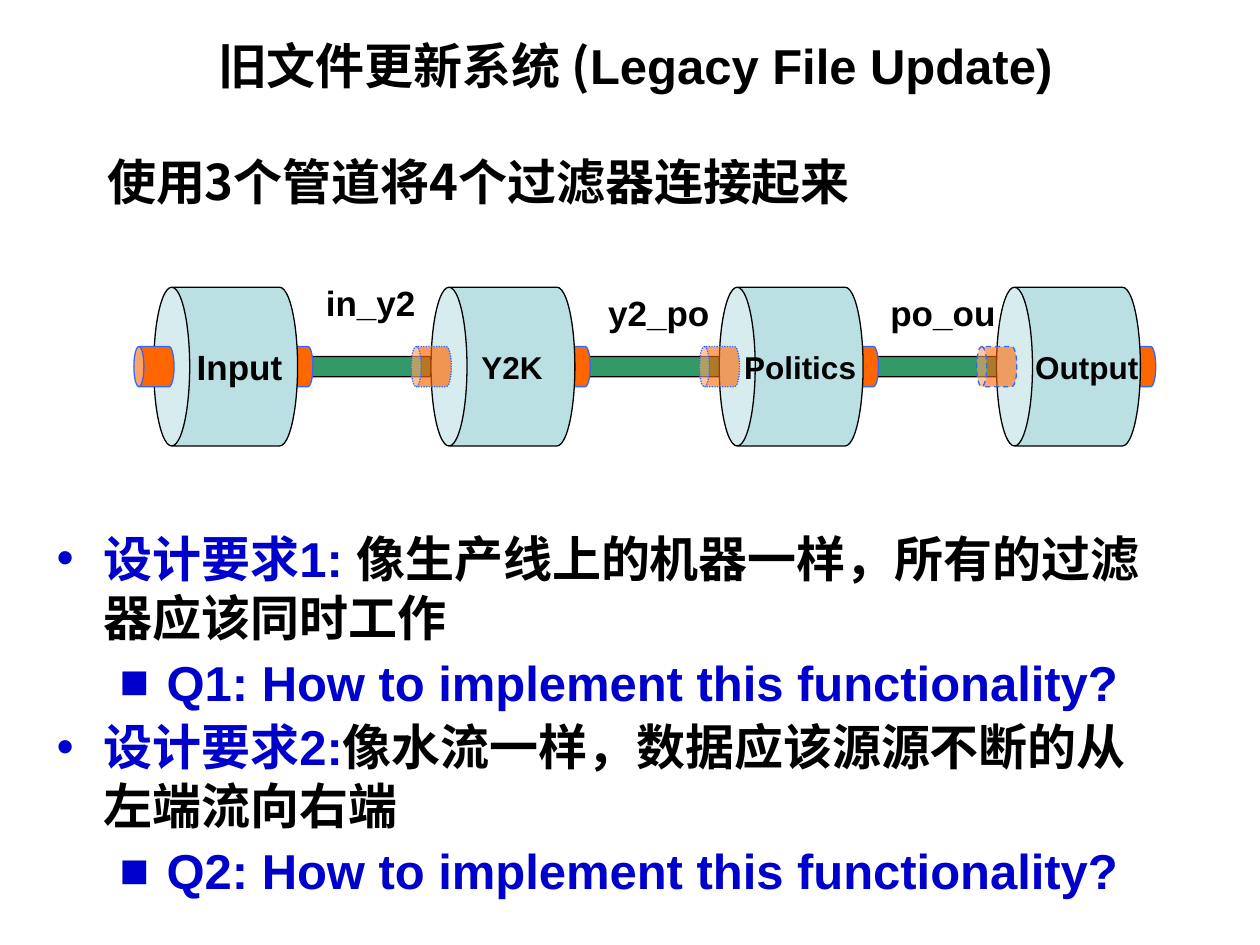
from dataclasses import dataclass

from lxml import etree
from pptx import Presentation
from pptx.dml.color import RGBColor
from pptx.enum.dml import MSO_LINE
from pptx.enum.shapes import MSO_SHAPE
from pptx.enum.text import MSO_ANCHOR, MSO_AUTO_SIZE, PP_ALIGN
from pptx.oxml.ns import qn
from pptx.util import Cm, Pt

CAN = MSO_SHAPE.CAN
TOP, MIDDLE = MSO_ANCHOR.TOP, MSO_ANCHOR.MIDDLE
LEFT, CENTER = PP_ALIGN.LEFT, PP_ALIGN.CENTER
DOTTED, DASHED = MSO_LINE.ROUND_DOT, MSO_LINE.DASH
NO_AUTOFIT = MSO_AUTO_SIZE.NONE


@dataclass(frozen=True)
class Theme:
    ink: str = "000000"
    accent: str = "0000CC"
    filter_fill: str = "BBE0E3"
    pipe_fill: str = "339966"
    port_fill: str = "FF6600"
    port_edge: str = "3366FF"
    latin: str = "Arial"
    chinese: str = "Noto Sans CJK SC"
    heading: int = 28
    label: int = 20
    filter_name: int = 18
    edge: float = 0.75


THEME = Theme()

# Pipeline geometry in centimetres
AXIS_Y = 7.39
FILTER_LENGTH, FILTER_DIAMETER = 2.9, 3.2
PORT_SIZE, PIPE_DIAMETER = 0.81, 0.41
IN_PORT_SHIFT, OUT_PORT_SHIFT = -0.4, 2.4
NAME_HEIGHT = 1

# Name, left edge, text size, shift of the name from the filter's middle
FILTERS = [
    ("Input", 3.1, THEME.label, 0.28),
    ("Y2K", 8.69, THEME.filter_name, 0.18),
    ("Politics", 14.5, THEME.filter_name, 0.18),
    ("Output", 20.09, THEME.filter_name, 0.37),
]
# Opacity and dash of each filter's input port
IN_PORTS = [(100, None), (65, DOTTED), (60, DOTTED), (59, DASHED)]
# Pipe left and length, then label name, left, top and width
PIPES = [
    (6.1, 2.59, "in_y2", 6.32, 5.54, 2.31),
    (11.51, 3.2, "y2_po", 12.01, 5.74, 2.54),
    (17.3, 3.2, "po_ou", 17.7, 5.74, 2.62),
]
REQUIREMENTS = [
    ("设计要求1: ", "像生产线上的机器一样，所有的过滤器应该同时工作",
     "Q1: How to implement this functionality?"),
    ("设计要求2:", "像水流一样，数据应该源源不断的从左端流向右端",
     "Q2: How to implement this functionality?"),
]


def add_run(paragraph, words, size, color=THEME.ink, face=THEME.latin):
    run = paragraph.add_run()
    run.text = words
    style = {"size": Pt(size), "bold": True, "name": face}
    for attribute, value in style.items():
        setattr(run.font, attribute, value)
    run.font.color.rgb = RGBColor.from_string(color)
    east_asian = etree.SubElement(run.font._element, qn("a:ea"))
    east_asian.set("typeface", THEME.chinese)


def format_frame(frame, wrap=True, anchor=TOP, side=0.25, edge=0.13):
    layout = {
        "word_wrap": wrap, "auto_size": NO_AUTOFIT, "vertical_anchor": anchor,
        "margin_left": Cm(side), "margin_right": Cm(side),
        "margin_top": Cm(edge), "margin_bottom": Cm(edge),
    }
    for attribute, value in layout.items():
        setattr(frame, attribute, value)


def add_text_box(slide, left, top, width, height, **layout):
    box = slide.shapes.add_textbox(Cm(left), Cm(top), Cm(width), Cm(height))
    format_frame(box.text_frame, **layout)
    return box.text_frame


def add_can(slide, left, length, diameter, fill, edge, lid=0.25):
    """Lay a cylinder on the pipeline axis with its lid to the left."""
    center = left + length / 2
    can = slide.shapes.add_shape(
        CAN, Cm(center - diameter / 2), Cm(AXIS_Y - length / 2),
        Cm(diameter), Cm(length))
    can.rotation = 270
    can.adjustments[0] = lid
    can.shadow.inherit = False
    can.fill.solid()
    can.fill.fore_color.rgb = RGBColor.from_string(fill)
    can.line.color.rgb = RGBColor.from_string(edge)
    can.line.width = Pt(THEME.edge)
    return can


def add_port(slide, left, opacity=100, dash=None):
    port = add_can(slide, left, PORT_SIZE, PORT_SIZE,
                   THEME.port_fill, THEME.port_edge)
    if dash:
        port.line.dash_style = dash
    if opacity < 100:
        color = port._element.spPr.find(qn("a:solidFill"))[0]
        etree.SubElement(color, qn("a:alpha")).set("val", str(opacity * 1000))


def add_filter(slide, name, left, size, name_shift):
    add_can(slide, left, FILTER_LENGTH, FILTER_DIAMETER,
            THEME.filter_fill, THEME.ink)
    # An upright box keeps the name centred on the cylinder's side
    frame = add_text_box(slide, left + name_shift, AXIS_Y - NAME_HEIGHT / 2,
                         FILTER_LENGTH, NAME_HEIGHT,
                         anchor=MIDDLE, side=0, edge=0)
    frame.paragraphs[0].alignment = CENTER
    add_run(frame.paragraphs[0], name, size)


def add_bullet(paragraph, mark, level, margin):
    paragraph.level = level
    properties = paragraph._p.get_or_add_pPr()
    properties.set("marL", str(Cm(margin)))
    properties.set("indent", str(Cm(-0.95)))
    color = etree.SubElement(properties, qn("a:buClr"))
    etree.SubElement(color, qn("a:srgbClr")).set("val", THEME.accent)
    etree.SubElement(properties, qn("a:buFont")).set("typeface", THEME.latin)
    etree.SubElement(properties, qn("a:buChar")).set("char", mark)


def add_title(slide):
    title = slide.shapes.title
    place = {"left": 1.3, "top": 0.71, "width": 23.01, "height": 1.32}
    for attribute, value in place.items():
        setattr(title, attribute, Cm(value))
    format_frame(title.text_frame)
    heading = title.text_frame.paragraphs[0]
    heading.alignment = CENTER
    heading.line_spacing = 0.9
    add_run(heading, "旧文件更新系统 (", THEME.heading, face=THEME.chinese)
    add_run(heading, "Legacy File Update)", THEME.heading)


def add_pipeline(slide):
    # Pipes and output ports lie behind the filters, input ports in front
    for left, length, *_ in PIPES:
        add_can(slide, left, length, PIPE_DIAMETER,
                THEME.pipe_fill, THEME.ink, lid=0.1)
    for _, left, *_ in FILTERS:
        add_port(slide, left + OUT_PORT_SHIFT)
    for stage in FILTERS:
        add_filter(slide, *stage)
    for (_, left, *_), (opacity, dash) in zip(FILTERS, IN_PORTS):
        add_port(slide, left + IN_PORT_SHIFT, opacity, dash)
    for _, _, name, left, top, width in PIPES:
        label = add_text_box(slide, left, top, width, 1.12, wrap=False)
        add_run(label.paragraphs[0], name, THEME.label)


def add_requirements(slide):
    frame = add_text_box(slide, 0.89, 10.52, 23.01, 7.75)
    for number, (lead, demand, question) in enumerate(REQUIREMENTS):
        requirement = frame.add_paragraph() if number else frame.paragraphs[0]
        add_bullet(requirement, "•", 0, 0.95)
        requirement.space_before = Pt(3.5 if number else 0)
        requirement.alignment = LEFT
        add_run(requirement, lead, THEME.heading, THEME.accent)
        add_run(requirement, demand, THEME.heading)
        follow_up = frame.add_paragraph()
        add_bullet(follow_up, "■", 1, 2.22)
        follow_up.space_before = Pt(3.5)
        add_run(follow_up, question, THEME.heading, THEME.accent)


def main():
    deck = Presentation()
    deck.slide_width, deck.slide_height = Cm(25.4), Cm(19.05)
    slide = deck.slides.add_slide(deck.slide_layouts[5])
    add_title(slide)
    # Statement above the pipeline
    statement = add_text_box(slide, 1.91, 2.92, 19.2, 1.45)
    add_run(statement.paragraphs[0], "使用3个管道将4个过滤器连接起来",
            THEME.heading, face=THEME.chinese)
    add_pipeline(slide)
    add_requirements(slide)
    deck.save("out.pptx")


if __name__ == "__main__":
    main()
